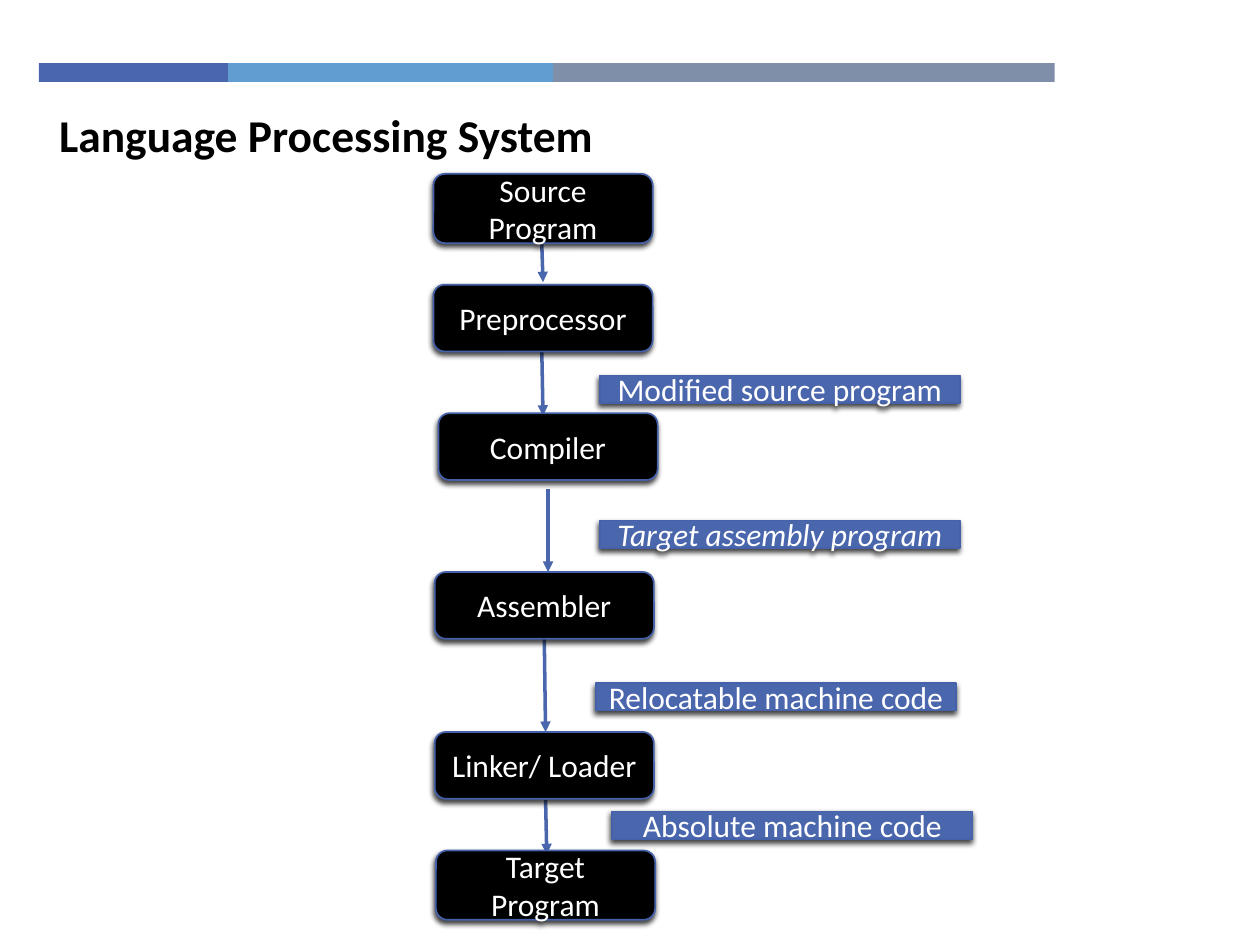
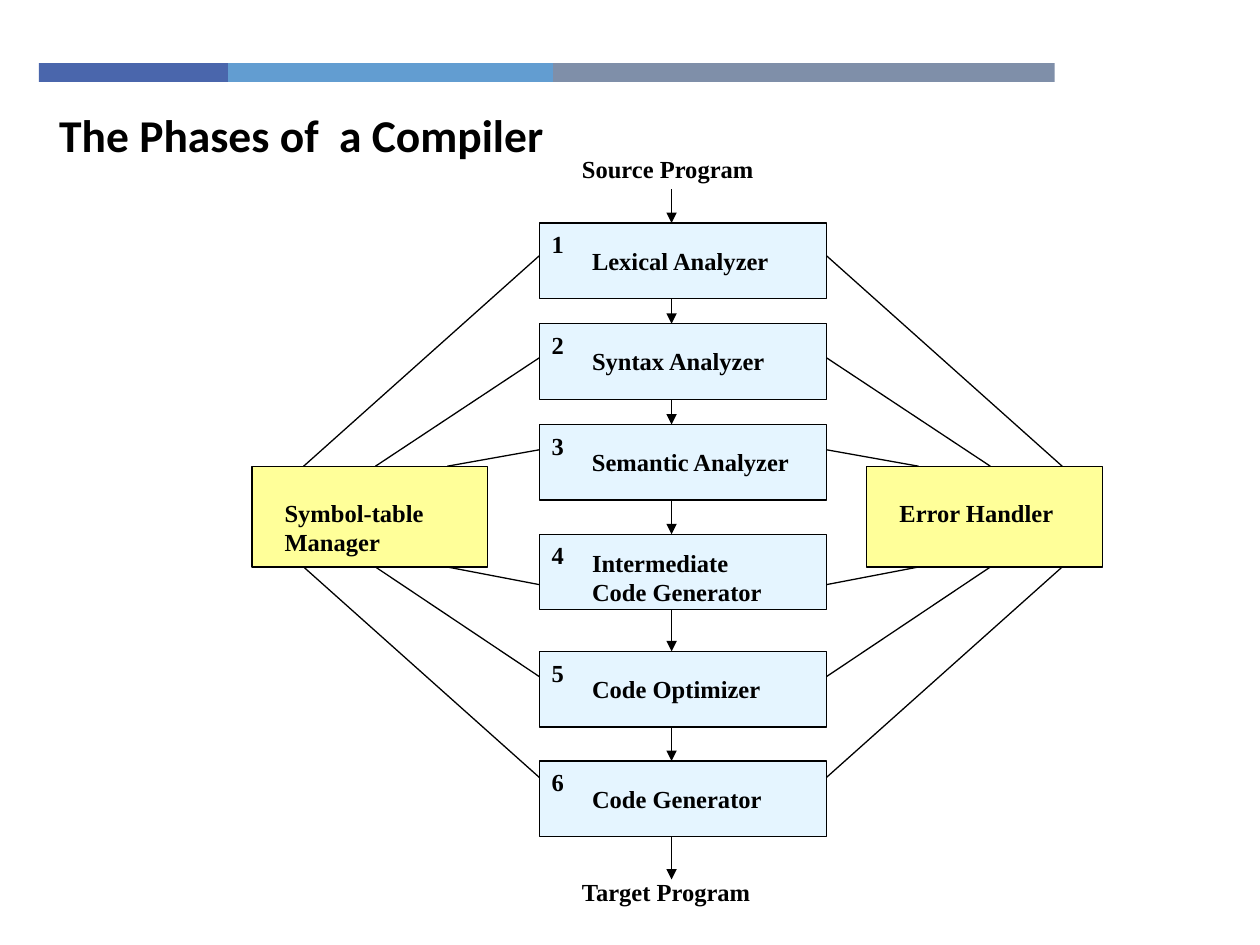
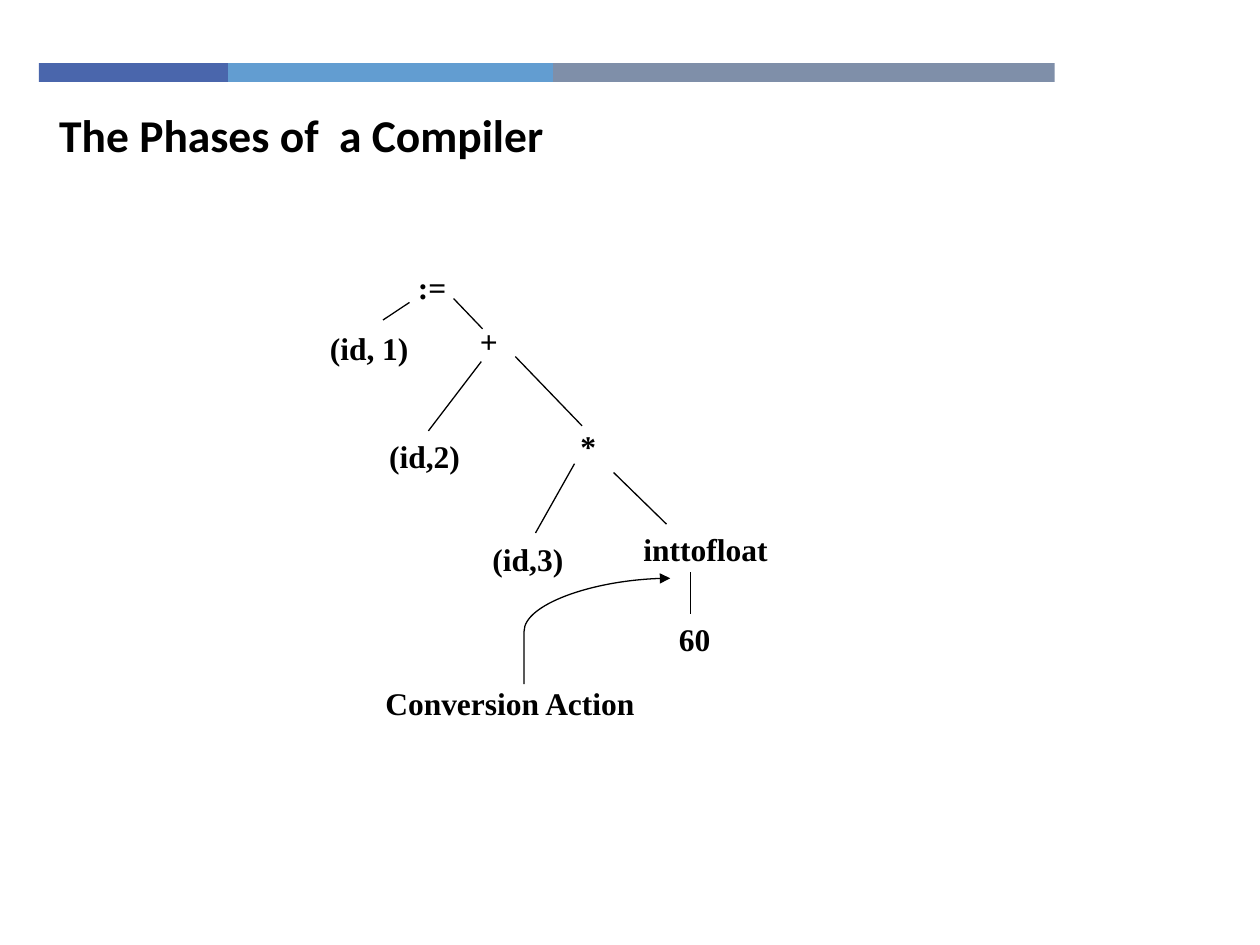
from typing import NamedTuple

import pptx
import pptx.dml.color
import pptx.enum.shapes
import pptx.enum.text
import pptx.oxml
import pptx.oxml.ns
import pptx.util
from pptx.util import Inches

MSO_SHAPE = pptx.enum.shapes.MSO_SHAPE
MSO_CONNECTOR = pptx.enum.shapes.MSO_CONNECTOR
MSO_ANCHOR = pptx.enum.text.MSO_ANCHOR
MSO_AUTO_SIZE = pptx.enum.text.MSO_AUTO_SIZE
PP_ALIGN = pptx.enum.text.PP_ALIGN
Pt = pptx.util.Pt
qn = pptx.oxml.ns.qn

COLORS = {
    "blue": "4A66AC", "sky": "629DD1", "slate": "7F8FA9", "edge": "4561AA",
    "black": "000000", "white": "FFFFFF", "phase": "CCECFF", "hub": "FFFF99",
}
TITLE_FONT = {"name": "Calibri", "size": Pt(26), "bold": True}
FLOW_FONT = {"name": "Calibri", "size": Pt(18)}
PHASE_FONT = {"name": "Times New Roman", "size": Pt(14), "bold": True}
TREE_FONT = {"name": "Times New Roman", "size": Pt(18), "bold": True}


class Box(NamedTuple):
    left: float
    top: float
    width: float
    height: float


class Segment(NamedTuple):
    x1: float
    y1: float
    x2: float
    y2: float


class Stage(NamedTuple):
    text: str
    left: float
    top: float
    height: float = 0.53


class Product(NamedTuple):
    text: str
    left: float
    top: float
    italic: bool = False


class Phase(NamedTuple):
    text: str
    top: float
    spoke_y: float
    text_drop: float = 0.13
    text_width: float = 1.71


class Hub(NamedTuple):
    text: str
    left: float
    phase_edge: float
    spoke_offsets: tuple[float, ...]


class Node(NamedTuple):
    text: str
    left: float
    top: float
    width: float
    align: PP_ALIGN = PP_ALIGN.CENTER


BANDS = [("blue", 1.5), ("sky", 2.58), ("slate", 3.98)]

STAGES = [
    Stage("Source Program", 3.44, 1.38, 0.55),
    Stage("Preprocessor", 3.44, 2.26),
    Stage("Compiler", 3.48, 3.28),
    Stage("Assembler", 3.45, 4.54),
    Stage("Linker/ Loader", 3.45, 5.81),
    Stage("Target Program", 3.46, 6.75, 0.55),
]
STAGE_ARROWS = [
    Segment(4.3, 1.94, 4.31, 2.24),
    Segment(4.3, 2.79, 4.31, 3.3),
    Segment(4.35, 3.88, 4.35, 4.54),
    Segment(4.32, 5.07, 4.33, 5.81),
    Segment(4.33, 6.35, 4.34, 6.78),
]
PRODUCTS = [
    Product("Modified source program", 4.76, 2.98),
    Product("Target assembly program", 4.76, 4.13, italic=True),
    Product("Relocatable machine code", 4.73, 5.42),
    Product("Absolute machine code", 4.86, 6.44),
]

PHASE_LEFT, PHASE_WIDTH, PHASE_HEIGHT = 4.28, 2.28, 0.6
PHASES = [
    Phase("Lexical Analyzer", 1.77, 2.03),
    Phase("Syntax Analyzer", 2.57, 2.84),
    Phase("Semantic Analyzer", 3.37, 3.57, text_width=2.36),
    Phase("Intermediate Code Generator", 4.24, 4.64, text_drop=0.06),
    Phase("Code Optimizer", 5.17, 5.37),
    Phase("Code Generator", 6.04, 6.17),
]
HUB_TOP, HUB_WIDTH, HUB_HEIGHT = 3.7, 1.87, 0.8
SPOKES = (0.41, 0.98, 1.55)
HUBS = [
    Hub("Symbol-table Manager", 2, PHASE_LEFT, SPOKES),
    Hub("Error Handler", 6.88, PHASE_LEFT + PHASE_WIDTH, SPOKES[::-1]),
]

NODES = [
    Node("(id, 1)", 2.14, 2.56, 1.58),
    Node("(id,2)", 2.58, 3.42, 1.58),
    Node("(id,3)", 3.4, 4.24, 1.58),
    Node(":=", 3.01, 2.08, 0.84),
    Node("+", 3.46, 2.51, 0.84),
    Node("*", 4.25, 3.34, 0.84),
    Node("inttofloat", 4.97, 4.16, 1.26),
    Node("60", 5.29, 4.87, 0.67, PP_ALIGN.LEFT),
    Node("Conversion Action", 2.96, 5.38, 2.33, PP_ALIGN.LEFT),
]
BRANCHES = [
    Segment(3.25, 2.4, 3.04, 2.54),
    Segment(3.6, 2.37, 3.83, 2.61),
    Segment(3.82, 2.87, 3.4, 3.42),
    Segment(4.09, 2.83, 4.62, 3.38),
    Segment(4.56, 3.68, 4.25, 4.23),
    Segment(4.87, 3.75, 5.29, 4.16),
    Segment(5.48, 4.54, 5.48, 4.87),
]


def rgb(color: str) -> pptx.dml.color.RGBColor:
    return pptx.dml.color.RGBColor.from_string(COLORS[color])


def set_all(obj, values: dict) -> None:
    for name, value in values.items():
        setattr(obj, name, value)


def add_xml(parent, tag: str, **attributes):
    child = pptx.oxml.parse_xml(f"<a:{tag} {pptx.oxml.ns.nsdecls('a')}/>")
    for name, value in attributes.items():
        child.set(name, str(value))
    parent.append(child)
    return child


def write(sp, text: str, font: dict, color: str = "black", align=PP_ALIGN.LEFT,
          anchor=MSO_ANCHOR.TOP) -> None:
    tf = sp.text_frame
    set_all(tf, {"word_wrap": True, "auto_size": MSO_AUTO_SIZE.NONE,
                 "vertical_anchor": anchor})
    p = tf.paragraphs[0]
    p.alignment = align
    r = p.add_run()
    r.text = text
    set_all(r.font, font)
    r.font.color.rgb = rgb(color)


def add_label(s, box: Box, text: str, font: dict, align=PP_ALIGN.LEFT) -> None:
    write(s.shapes.add_textbox(*map(Inches, box)), text, font, align=align)


def add_box(s, kind: MSO_SHAPE, box: Box, fill: str, line: str | None = None,
            line_width: float = 0.75):
    sp = s.shapes.add_shape(kind, *map(Inches, box))
    sp.shadow.inherit = False
    sp.fill.solid()
    sp.fill.fore_color.rgb = rgb(fill)
    if line:
        sp.line.color.rgb = rgb(line)
        sp.line.width = Pt(line_width)
    else:
        sp.line.fill.background()
    return sp


def add_flow_box(s, kind: MSO_SHAPE, box: Box, fill: str, text: str,
                 italic: bool = False) -> None:
    """Add a shadowed box with centred white text."""
    sp = add_box(s, kind, box, fill, "edge", 1)
    effects = sp.element.spPr.find(qn("a:effectLst"))
    shadow = add_xml(effects, "outerShdw", blurRad=Pt(3), dist=Pt(2),
                     dir=110 * 60000, rotWithShape=0)
    shade = add_xml(shadow, "srgbClr", val=COLORS["black"])
    add_xml(shade, "alpha", val=75000)
    write(sp, text, FLOW_FONT | {"italic": italic}, "white",
          PP_ALIGN.CENTER, MSO_ANCHOR.MIDDLE)


def add_line(s, segment: Segment, color: str = "black", width: float = 0.75,
             arrow: bool = False, kind=MSO_CONNECTOR.STRAIGHT):
    cxn = s.shapes.add_connector(kind, *map(Inches, segment))
    cxn.line.color.rgb = rgb(color)
    cxn.line.width = Pt(width)
    if arrow:
        add_xml(cxn.line._get_or_add_ln(), "tailEnd", type="triangle")
    add_xml(cxn.element.spPr, "effectLst")
    return cxn


def add_titled_slide(prs, title: str):
    s = prs.slides.add_slide(prs.slide_layouts.get_by_name("Title Only"))
    place = Box(0.37, 0.8, 7.16, 0.54)
    set_all(s.shapes.title, {k: Inches(v) for k, v in place._asdict().items()})
    write(s.shapes.title, title, TITLE_FONT)
    return s


def move_bands_to_layout(s) -> None:
    """Draw the colour bands and hand them to the layout all slides share."""
    left = 0.31
    for color, width in BANDS:
        sp = add_box(s, MSO_SHAPE.RECTANGLE, Box(left, 0.5, width, 0.15), color)
        s.slide_layout.shapes.element.append(sp.element)
        left += width


def draw_processing_system(s) -> None:
    for segment in STAGE_ARROWS:
        add_line(s, segment, "blue", 2, arrow=True)
    for stage in STAGES:
        add_flow_box(s, MSO_SHAPE.ROUNDED_RECTANGLE,
                     Box(stage.left, stage.top, 1.74, stage.height),
                     "black", stage.text)
    for product in PRODUCTS:
        add_flow_box(s, MSO_SHAPE.RECTANGLE,
                     Box(product.left, product.top, 2.86, 0.22),
                     "blue", product.text, product.italic)


def draw_phases(s) -> None:
    for text, top in (("Source Program", 1.17), ("Target Program", 6.91)):
        add_label(s, Box(4.52, top, 2.19, 0.33), text, PHASE_FONT)

    for number, phase in enumerate(PHASES, 1):
        sp = add_box(s, MSO_SHAPE.RECTANGLE,
                     Box(PHASE_LEFT, phase.top, PHASE_WIDTH, PHASE_HEIGHT),
                     "phase", "black")
        tint = sp.element.spPr.find(f"{qn('a:solidFill')}/{qn('a:srgbClr')}")
        add_xml(tint, "alpha", val=50000)
        add_label(s, Box(4.6, phase.top + phase.text_drop, phase.text_width, 0.33),
                  phase.text, PHASE_FONT)
        add_label(s, Box(PHASE_LEFT, phase.top, 0.24, 0.33), str(number), PHASE_FONT)

    starts = [1.5] + [phase.top + PHASE_HEIGHT for phase in PHASES]
    ends = [phase.top for phase in PHASES] + [6.98]
    for start, end in zip(starts, ends):
        add_line(s, Segment(5.33, start, 5.33, end), arrow=True)

    for hub in HUBS:
        add_box(s, MSO_SHAPE.RECTANGLE, Box(hub.left, HUB_TOP, HUB_WIDTH, HUB_HEIGHT),
                "hub", "black")
        add_label(s, Box(hub.left + 0.16, HUB_TOP + 0.2, 1.55, 0.57),
                  hub.text, PHASE_FONT)
        upper = [(offset, HUB_TOP) for offset in hub.spoke_offsets]
        lower = [(offset, HUB_TOP + HUB_HEIGHT) for offset in hub.spoke_offsets[::-1]]
        for phase, (offset, hub_y) in zip(PHASES, upper + lower):
            add_line(s, Segment(hub.phase_edge, phase.spoke_y,
                                hub.left + offset, hub_y))


def draw_syntax_tree(s) -> None:
    for node in NODES:
        add_label(s, Box(node.left, node.top, node.width, 0.4), node.text,
                  TREE_FONT, node.align)
    for segment in BRANCHES:
        add_line(s, segment)
    curve = add_line(s, Segment(4.16, 5.43, 5.32, 4.59), arrow=True,
                     kind=MSO_CONNECTOR.CURVE)
    guides = curve.element.spPr.find(f"{qn('a:prstGeom')}/{qn('a:avLst')}")
    add_xml(guides, "gd", name="adj1", fmla="val 0")


def main() -> None:
    prs = pptx.Presentation()
    set_all(prs, {"slide_width": Inches(10), "slide_height": Inches(7.5)})
    pages = [
        ("Language Processing System", draw_processing_system),
        ("The Phases of  a Compiler", draw_phases),
        ("The Phases of  a Compiler", draw_syntax_tree),
    ]
    for title, draw in pages:
        draw(add_titled_slide(prs, title))
    move_bands_to_layout(prs.slides[0])
    prs.save("out.pptx")


if __name__ == "__main__":
    main()
